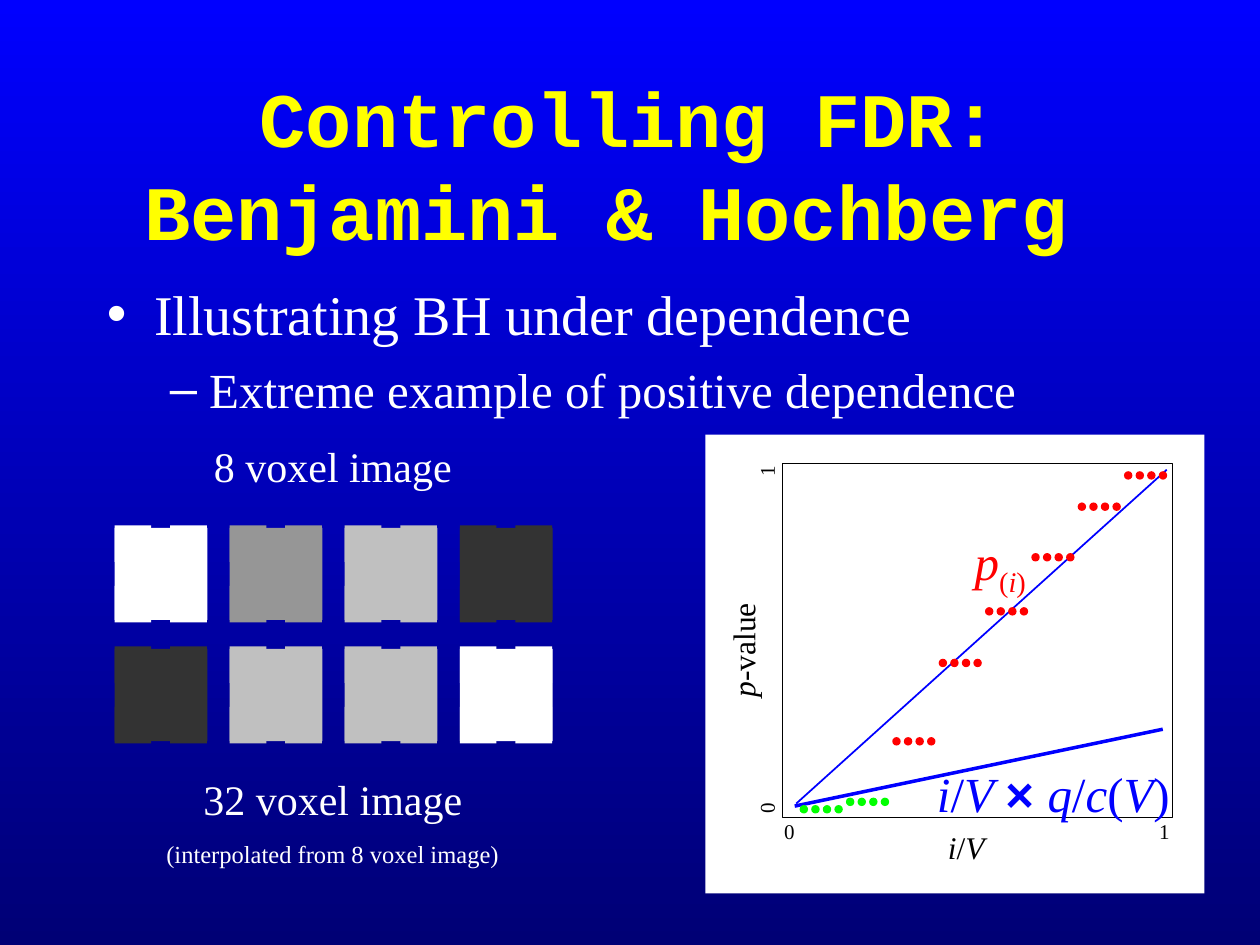
from itertools import product

from pptx import Presentation
from pptx.dml.color import RGBColor
from pptx.enum.shapes import MSO_CONNECTOR as Link, MSO_SHAPE as Form
from pptx.enum.text import MSO_ANCHOR as Anchor, MSO_AUTO_SIZE as Fit, PP_ALIGN as Align
from pptx.oxml.ns import qn
from pptx.util import Cm, Pt

SERIF = "Times New Roman"
WHITE, BLACK, RED, GREEN, BLUE = "FFFFFF", "000000", "FF0000", "00FF00", "0000FF"
GREY, PALE, DARK = "969696", "C0C0C0", "333333"
ITAL = {"italic": True}
CROSS = {"name": "Arial", "bold": True}


def tint(code):
    """Turn a hex string into a colour."""
    return RGBColor.from_string(code)


def style(font, size, color, **form):
    """Set the size, colour and other values of a font."""
    for key, val in {"name": SERIF, "size": Pt(size), **form}.items():
        setattr(font, key, val)
    font.color.rgb = tint(color)


def write(para, runs, size, color, gap, **form):
    """Fill a paragraph with (text, values) runs."""
    para.space_before = Pt(gap)
    for text, extra in runs:
        run = para.add_run()
        run.text = text
        vals = {**form, **extra}
        base = vals.pop("base", None)
        style(run.font, size, color, **vals)
        if base:
            run.font._element.set("baseline", str(base))


def place(shape, box):
    """Move a shape to a box given in centimetres."""
    for key, val in zip(("left", "top", "width", "height"), box):
        setattr(shape, key, Cm(val))


def block(shapes, form, box, fill=None, line=None):
    """Add a flat preset shape."""
    shape = shapes.add_shape(form, *map(Cm, box))
    shape.shadow.inherit = False
    if fill:
        shape.fill.solid()
        shape.fill.fore_color.rgb = tint(fill)
    else:
        shape.fill.background()
    if line:
        shape.line.color.rgb = tint(line)
        shape.line.width = Pt(0.75)
    else:
        shape.line.fill.background()
    return shape


def label(shapes, box, rows, color, turn=0):
    """Add centred text; each row is (runs, size, gap)."""
    shape = shapes.add_textbox(*map(Cm, box))
    shape.rotation = turn
    frame = shape.text_frame
    frame.word_wrap = True
    for num, (runs, size, gap) in enumerate(rows):
        para = frame.add_paragraph() if num else frame.paragraphs[0]
        para.alignment = Align.CENTER
        write(para, runs, size, color, gap)


def stroke(shapes, ends, width):
    """Add a straight blue line."""
    line = shapes.add_connector(Link.STRAIGHT, *map(Cm, ends))
    line.line.color.rgb = tint(BLUE)
    line.line.width = Pt(width)
    props = line._element.spPr
    props.append(props.makeelement(qn("a:effectLst"), {}))


def heading(slide, box):
    """Fill the title placeholder."""
    title = slide.shapes.title
    place(title, box)
    frame = title.text_frame
    frame.auto_size = Fit.NONE
    frame.vertical_anchor = Anchor.MIDDLE
    para = frame.paragraphs[0]
    para.alignment = Align.CENTER
    form = {"name": "Courier New", "bold": True}
    write(para, [("Controlling FDR:", form)], 44, "FFFF00", 0)
    para.add_line_break()
    write(para, [("Benjamini & Hochberg ", form)], 44, "FFFF00", 0)


def points(slide, box):
    """Fill the body placeholder with a two-level list."""
    body = slide.placeholders[1]
    place(body, box)
    frame = body.text_frame
    frame.auto_size = Fit.NONE
    rows = [("Illustrating BH under dependence", 32, 8),
            ("Extreme example of positive dependence", 28, 7)]
    for level, (text, size, gap) in enumerate(rows):
        para = frame.add_paragraph() if level else frame.paragraphs[0]
        para.level = level
        write(para, [(text, {})], size, WHITE, gap)


def plot(slide, box):
    """Draw the panel of ordered p-values against i/V."""
    left, top = box[:2]
    shapes = slide.shapes

    def at(x, y, *size):
        return left + x, top + y, *size

    block(shapes, Form.RECTANGLE, box, WHITE)
    block(shapes, Form.RECTANGLE, at(1.55, 0.58, 7.87, 7.14), line=BLACK)
    stroke(shapes, at(1.8, 7.49) + at(9.22, 5.94), 2)
    stroke(shapes, at(1.83, 7.44) + at(9.3, 0.71), 1)

    rank = [("p", ITAL), ("(", {"base": -25000}),
            ("i", {"base": -25000, **ITAL}), (")", {"base": -25000})]
    ratio = [("i", ITAL), ("/", {}), ("V", ITAL)]
    bound = [("i", ITAL), ("/", {}), ("V ", ITAL), ("× ", CROSS), ("q", ITAL),
             ("/", {}), ("c", ITAL), ("(", {}), ("V", ITAL), (")", {})]
    value = [("p", ITAL), ("-value", {})]
    tick = (0.79, 0.76)
    texts = [
        (at(4.6, 1.83, 2.69, 1.6), rank, 28, 7, RED, 0),
        (at(3.84, 7.8, 2.84, 1.02), ratio, 18, 4.5, BLACK, 0),
        (at(4.27, 6.5, 5.49, 1.45), bound, 28, 7, BLUE, 0),
        (at(-0.66, 3.84, 2.84, 1.02), value, 18, 4.5, BLACK, 270),
        (at(1.3, 7.62, *tick), [("0", {})], 12, 3, BLACK, 0),
        (at(8.86, 7.62, *tick), [("1", {})], 12, 3, BLACK, 0),
        (at(0.84, 7.16, *tick), [("0", {})], 12, 3, BLACK, 270),
        (at(0.84, 0.36, *tick), [("1", {})], 12, 3, BLACK, 270),
    ]
    for spot, runs, size, gap, color, turn in texts:
        label(shapes, spot, [(runs, size, gap)], color, turn)

    dots = shapes.add_group_shape().shapes
    steps = (7.47, 7.32, 6.1, 4.52, 3.48, 2.39, 1.37, 0.74)
    for num in range(32):
        step = num // 4
        spot = at(1.9 + 7.24 * num / 31, steps[step], 0.17, 0.17)
        block(dots, Form.OVAL, spot, GREEN if step < 2 else RED)


def voxels(slide, box):
    """Draw the voxel grid, its corner voxels and both captions."""
    left, top, wide, high = box
    big = slide.shapes.add_group_shape().shapes
    small = slide.shapes.add_group_shape().shapes
    grid = ((WHITE, GREY, PALE, DARK), (DARK, PALE, PALE, WHITE))
    for row, col in product(range(2), range(4)):
        x, y, fill = left + 2.32 * col, top + 1.88 + 2.44 * row, grid[row][col]
        block(big, Form.RECTANGLE, (x, y, 1.87, 1.86), fill)
        for dx, dy in product((0, 1.12), (-0.05, 1.17)):
            block(small, Form.RECTANGLE, (x + dx, y + dy, 0.74, 0.74), fill)
    label(slide.shapes, (left + 0.74, top, 7.32, 1.27),
          [([("8 voxel image", {})], 24, 15)], WHITE)
    label(slide.shapes, (left + 0.74, top + high - 2.18, 7.32, 2.18),
          [([("32 voxel image", {})], 24, 15),
           ([("(interpolated from 8 voxel image)", {})], 14, 8.8)], WHITE)


def build():
    """Make the slide and save it."""
    deck = Presentation()
    deck.slide_width, deck.slide_height = Cm(25.4), Cm(19.05)
    slide = deck.slides.add_slide(deck.slide_layouts[1])
    fill = slide.background.fill
    fill.gradient()
    fill.gradient_angle = 270
    for stop, color in zip(fill.gradient_stops, (BLUE, "000075")):
        stop.color.rgb = tint(color)
    heading(slide, (1.9, 1.7, 21.59, 3.18))
    points(slide, (1.9, 5.51, 21.59, 5.74))
    plot(slide, (14.22, 8.76, 10.06, 9.25))
    voxels(slide, (2.31, 8.76, 8.83, 8.89))
    deck.save("out.pptx")


build()
